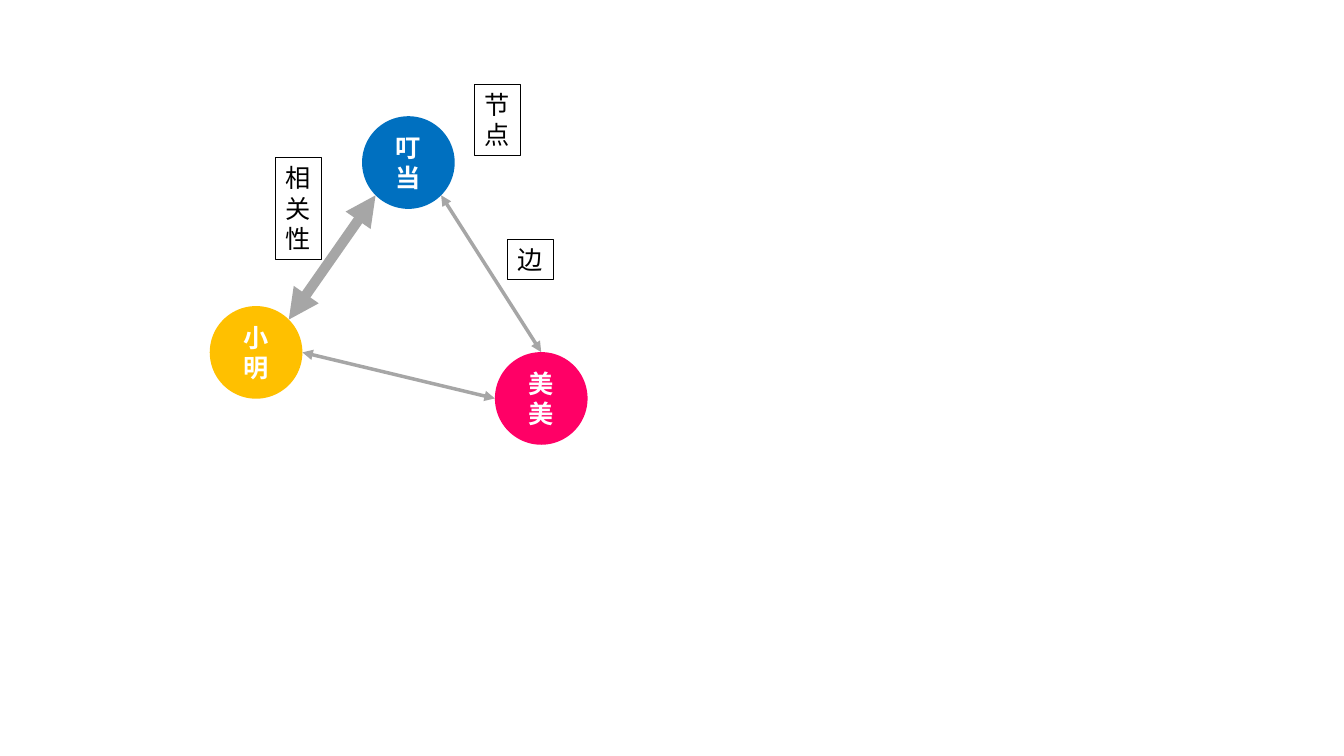
"""Build a slide with a three-node relation graph and its labelled parts."""
from math import cos, radians, sin

from lxml import etree
from pptx import Presentation
from pptx.dml.color import RGBColor
from pptx.enum import shapes, text
from pptx.oxml import ns
from pptx.util import Pt

WHITE = RGBColor(255, 255, 255)
BLACK = RGBColor(0, 0, 0)
GREY = RGBColor(0xA6, 0xA6, 0xA6)
AMBER = RGBColor(0xFF, 0xC0, 0x00)
BLUE = RGBColor(0x00, 0x70, 0xC0)
PINK = RGBColor(0xFF, 0x00, 0x66)

FONT = "Noto Sans CJK SC"
SIZE = 18
DIAM = 66.2
WIDE = 33.2

NODES = {
    "小明": (182.9, 251.7, AMBER),
    "叮当": (291.7, 116.1, BLUE),
    "美美": (386.6, 284.6, PINK),
}
EDGES = [
    ("小明", -45, "叮当", 135, 7.25),
    ("小明", 0, "美美", 180, 2.5),
    ("叮当", 45, "美美", -90, 2.5),
]
LABELS = [
    ("节点", 338.8, 60.2, 51),
    ("边", 362.4, 170.8, 28.8),
    ("相关性", 196.7, 112.6, 73),
]


def write(shape, words, color, bold, align):
    frame = shape.text_frame
    frame.word_wrap = True
    para = frame.paragraphs[0]
    para.alignment = align
    run = para.add_run()
    run.text = words
    font = run.font
    font.size, font.bold, font.name = Pt(SIZE), bold, FONT
    font.color.rgb = color
    east = etree.SubElement(run._r.get_or_add_rPr(), ns.qn("a:ea"))
    east.set("typeface", FONT)


def rim(name, angle):
    x, y, _ = NODES[name]
    turn = radians(angle)
    return Pt(x + DIAM / 2 * cos(turn)), Pt(y + DIAM / 2 * sin(turn))


def add_node(slide, name, x, y, color):
    node = slide.shapes.add_shape(
        shapes.MSO_SHAPE.OVAL,
        Pt(x - DIAM / 2), Pt(y - DIAM / 2), Pt(DIAM), Pt(DIAM))
    node.shadow.inherit = False
    node.fill.solid()
    node.fill.fore_color.rgb = color
    node.line.fill.background()
    node.text_frame.vertical_anchor = text.MSO_ANCHOR.MIDDLE
    write(node, name, WHITE, True, text.PP_ALIGN.CENTER)


def add_edge(slide, start, out, end, into, width):
    edge = slide.shapes.add_connector(
        shapes.MSO_CONNECTOR.STRAIGHT, *rim(start, out), *rim(end, into))
    edge.line.color.rgb = GREY
    edge.line.width = Pt(width)
    line = edge.line._get_or_add_ln()
    for tip in ("a:headEnd", "a:tailEnd"):
        etree.SubElement(line, ns.qn(tip)).set("type", "triangle")
    etree.SubElement(edge._element.spPr, ns.qn("a:effectLst"))


def add_label(slide, words, x, y, high):
    box = slide.shapes.add_textbox(Pt(x), Pt(y), Pt(WIDE), Pt(high))
    box.line.color.rgb = BLACK
    box.line.width = Pt(0.75)
    box.text_frame.auto_size = text.MSO_AUTO_SIZE.SHAPE_TO_FIT_TEXT
    write(box, words, BLACK, False, text.PP_ALIGN.LEFT)


def main():
    deck = Presentation()
    deck.slide_width, deck.slide_height = Pt(960), Pt(540)
    slide = deck.slides.add_slide(deck.slide_layouts[6])
    for name, place in NODES.items():
        add_node(slide, name, *place)
    for edge in EDGES:
        add_edge(slide, *edge)
    for label in LABELS:
        add_label(slide, *label)
    deck.save("out.pptx")


if __name__ == "__main__":
    main()
